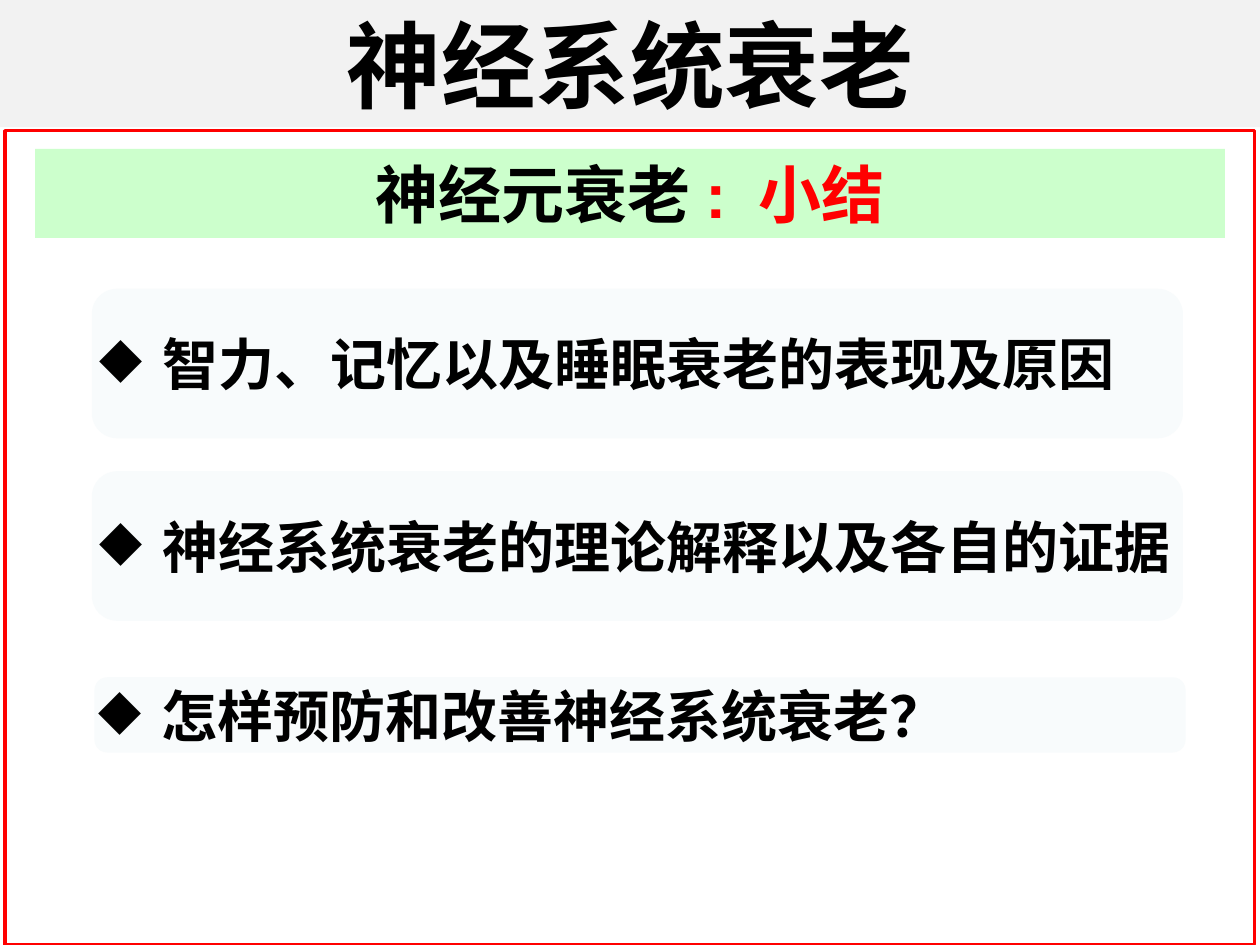
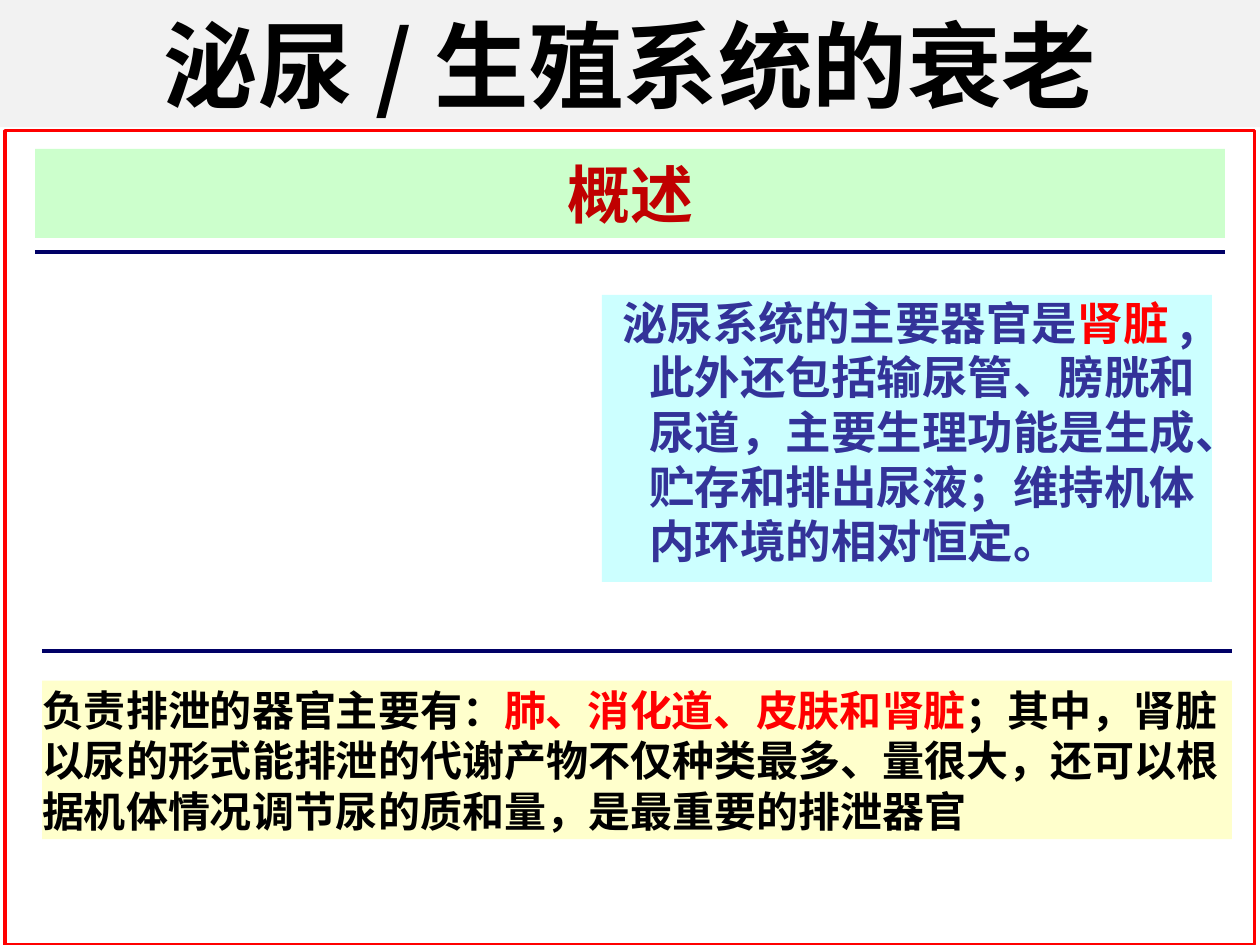
from dataclasses import dataclass

from lxml import etree
from pptx import Presentation
from pptx.dml.color import RGBColor
from pptx.enum import shapes, text
from pptx.oxml import ns
from pptx.util import Pt


@dataclass(frozen=True)
class Theme:
    title_band: str = "F2F2F2"
    heading_band: str = "CCFFCC"
    card: str = "F8FBFC"
    cyan_panel: str = "CCFFFF"
    yellow_panel: str = "FFFFCC"
    ink: str = "000000"
    red: str = "FF0000"
    dark_red: str = "C00000"
    indigo: str = "333399"
    navy: str = "000066"
    latin: str = "Arial"
    accent: str = "Montserrat"
    chinese: str = "Noto Sans CJK SC"
    title_size: int = 54
    heading_size: int = 36
    bullet_size: int = 32
    organ_size: int = 26
    excretion_size: int = 24
    line_width: int = 2


theme = Theme()


def add_box(slide, bounds, fill=None, kind=shapes.MSO_SHAPE.RECTANGLE, margin=0):
    shape = slide.shapes.add_shape(kind, *map(Pt, bounds))
    shape.shadow.inherit = False
    if fill:
        shape.fill.solid()
        shape.fill.fore_color.rgb = RGBColor.from_string(fill)
    else:
        shape.fill.background()
    shape.line.fill.background()
    frame = shape.text_frame
    frame.word_wrap = True
    frame.vertical_anchor = text.MSO_ANCHOR.MIDDLE
    frame.margin_left = frame.margin_right = Pt(2 * margin)
    frame.margin_top = frame.margin_bottom = Pt(margin)
    return shape


def write_runs(shape, runs, size, align):
    """Fill the first paragraph with (wording, font name, colour) runs."""
    paragraph = shape.text_frame.paragraphs[0]
    paragraph.alignment = align
    for wording, font_name, colour in runs:
        run = paragraph.add_run()
        run.text = wording
        run.font.size = Pt(size)
        run.font.bold = True
        run.font.name = font_name
        run.font.color.rgb = RGBColor.from_string(colour)
        east_asian = etree.SubElement(run.font._element, ns.qn("a:ea"))
        east_asian.set("typeface", theme.chinese)
    return paragraph


presentation = Presentation()
presentation.slide_width, presentation.slide_height = Pt(720), Pt(540)
align = text.PP_ALIGN

# Title, red frame and green heading band of both slides
pages = [
    ("神经系统衰老", [("神经元衰老", theme.latin, theme.ink),
                (": ", theme.latin, theme.red),
                ("小结", theme.chinese, theme.red)]),
    ("泌尿/生殖系统的衰老", [("概述", theme.accent, theme.dark_red)]),
]
slides = []
for title_wording, heading_runs in pages:
    slide = presentation.slides.add_slide(presentation.slide_layouts[5])
    slides.append(slide)

    title = slide.shapes.title
    title.left, title.top, title.width, title.height = map(Pt, (0, 0, 720, 72.7))
    title.fill.solid()
    title.fill.fore_color.rgb = RGBColor.from_string(theme.title_band)
    frame = title.text_frame
    frame.auto_size = text.MSO_AUTO_SIZE.NONE
    frame.word_wrap = False
    frame.vertical_anchor = text.MSO_ANCHOR.MIDDLE
    frame.margin_left = frame.margin_right = Pt(1.5)
    write_runs(title, [(title_wording, theme.chinese, theme.ink)],
               theme.title_size, align.CENTER)

    border = add_box(slide, (3, 74.7, 714, 465))
    border.line.color.rgb = RGBColor.from_string(theme.red)
    border.line.width = Pt(theme.line_width)

    heading = add_box(slide, (20, 85, 680, 51), theme.heading_band, margin=3.6)
    write_runs(heading, heading_runs, theme.heading_size, align.CENTER)

summary_slide, urinary_slide = slides

# Summary cards
summary_points = [
    ((52.5, 165, 623.5, 85.5), "智力、记忆以及睡眠衰老的表现及原因"),
    ((52.5, 269.3, 623.5, 85.5), "神经系统衰老的理论解释以及各自的证据"),
    ((54, 387, 623.5, 43), "怎样预防和改善神经系统衰老？"),
]
for bounds, wording in summary_points:
    card = add_box(summary_slide, bounds, theme.card,
                   shapes.MSO_SHAPE.ROUNDED_RECTANGLE)
    card.adjustments[0] = 0.17
    properties = card.text_frame.paragraphs[0]._p.get_or_add_pPr()
    properties.set("marL", str(Pt(36)))
    properties.set("indent", str(-Pt(36)))
    etree.SubElement(properties, ns.qn("a:buChar")).set("char", "◆")
    write_runs(card, [(wording, theme.latin, theme.ink)],
               theme.bullet_size, align.JUSTIFY)

# Urinary organs
organs = add_box(urinary_slide, (344, 168.5, 348.5, 164), theme.cyan_panel)
organs.text_frame.vertical_anchor = text.MSO_ANCHOR.TOP
paragraph = write_runs(organs, [
    ("泌尿系统的主要器官是", theme.chinese, theme.indigo),
    ("肾脏", theme.chinese, theme.red),
    (",此外还包括输尿管、膀胱和尿道，主要生理功能是生成、贮存和排出尿液；"
     "维持机体内环境的相对恒定。", theme.chinese, theme.indigo),
], theme.organ_size, align.LEFT)
paragraph.line_spacing = Pt(31.2)
properties = paragraph._p.get_or_add_pPr()
properties.set("marL", str(Pt(27)))
properties.set("indent", str(-Pt(15.5)))

# Excretory organs
excretion = add_box(urinary_slide, (24, 389, 680, 90.5), theme.yellow_panel)
paragraph = write_runs(excretion, [
    ("负责排泄的器官主要有：", theme.latin, theme.ink),
    ("肺、消化道、皮肤和肾脏", theme.latin, theme.red),
    ("；其中，肾脏以尿的形式能排泄的代谢产物不仅种类最多、量很大，"
     "还可以根据机体情况调节尿的质和量，是最重要的排泄器官",
     theme.latin, theme.ink),
], theme.excretion_size, align.LEFT)
paragraph.line_spacing = Pt(28.8)

# Divider lines
for left, top in ((20, 144), (24, 372)):
    divider = urinary_slide.shapes.add_connector(
        shapes.MSO_CONNECTOR.STRAIGHT, Pt(left), Pt(top), Pt(left + 680), Pt(top))
    divider.line.color.rgb = RGBColor.from_string(theme.navy)
    divider.line.width = Pt(theme.line_width)
    etree.SubElement(divider._element.spPr, ns.qn("a:effectLst"))

presentation.save("out.pptx")
